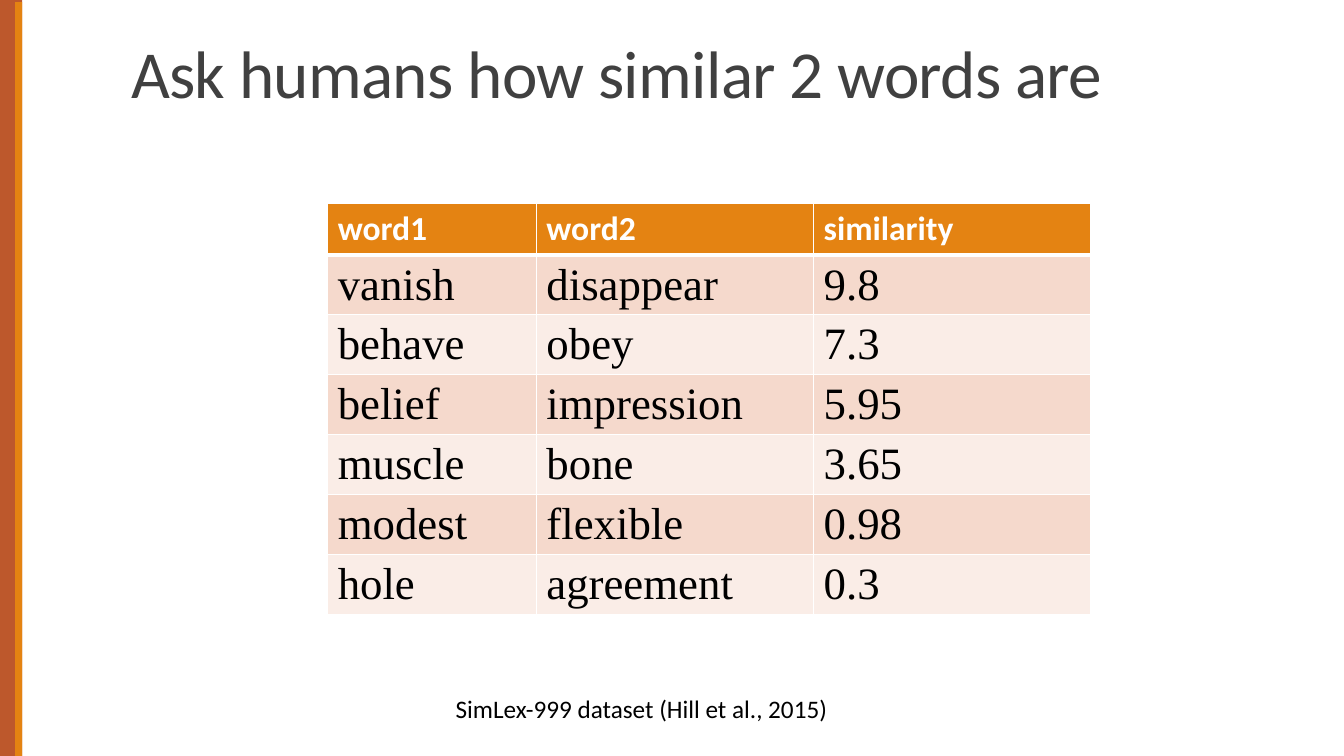
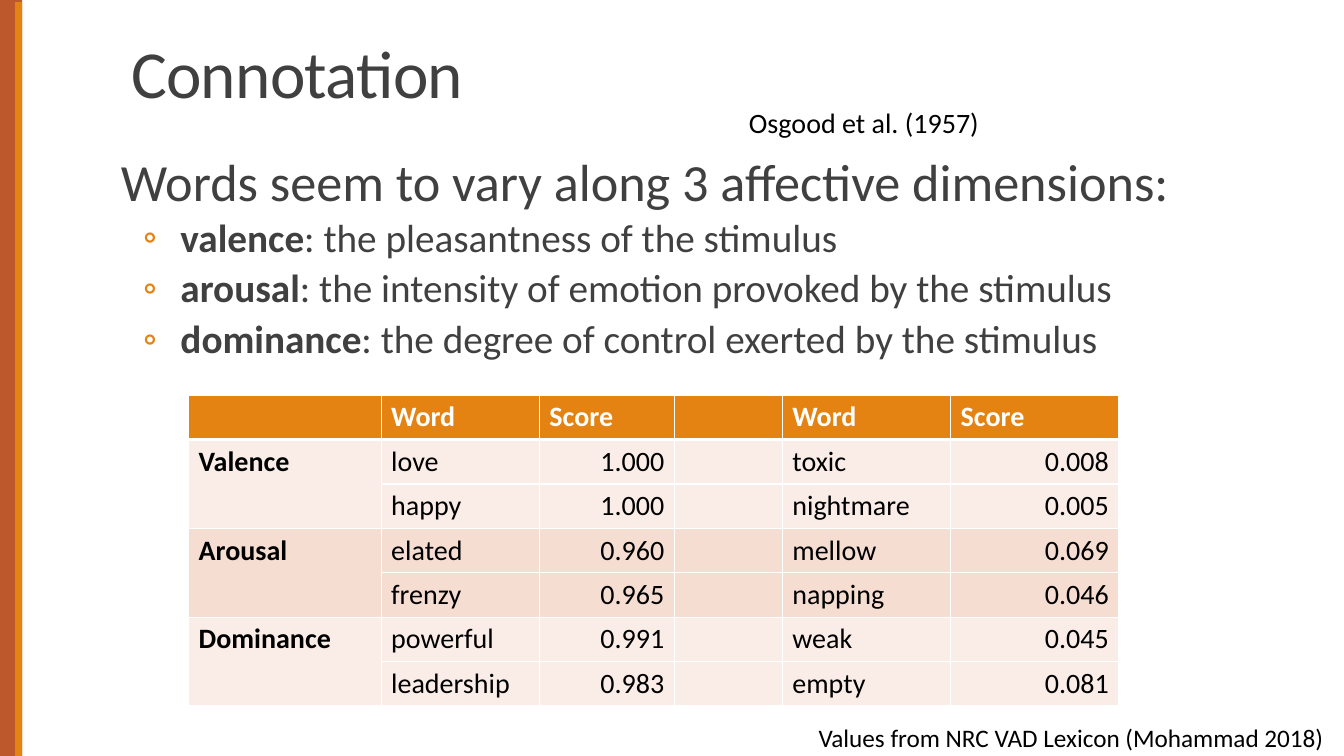
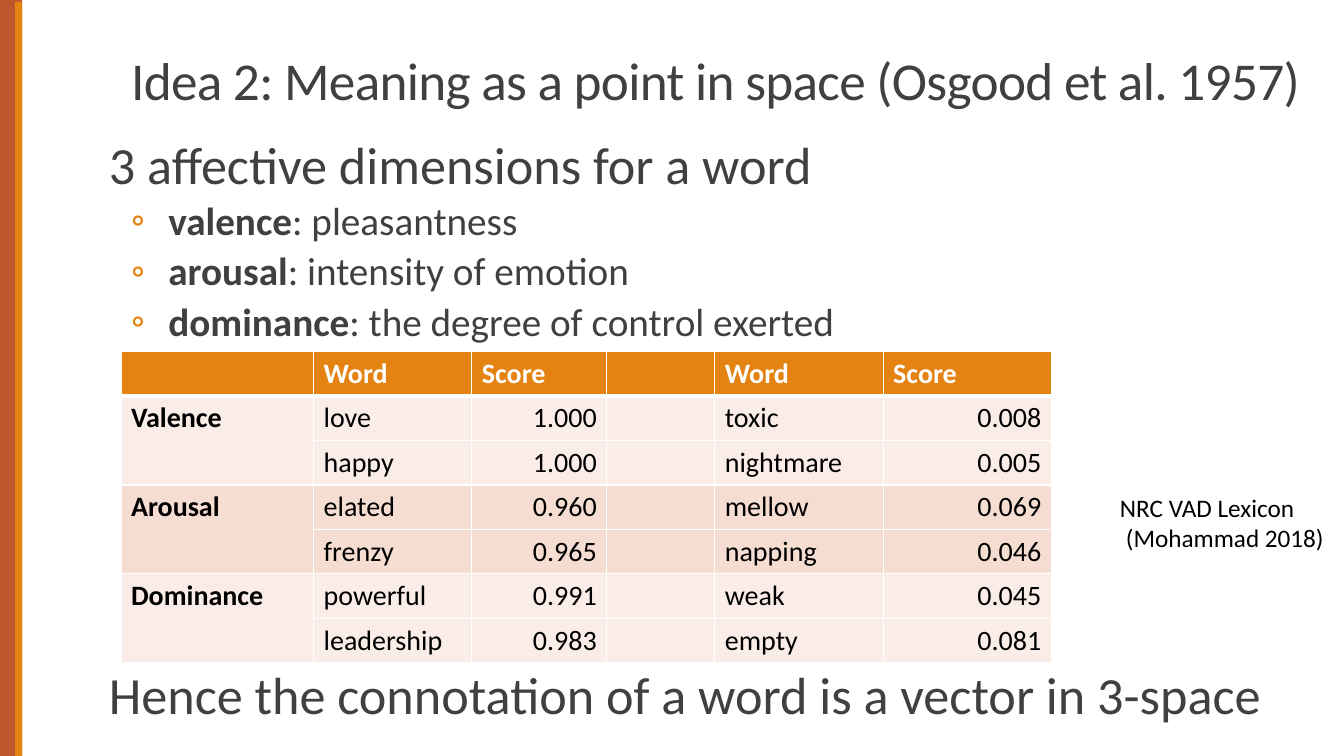
from pptx import Presentation
from pptx import util as u
from pptx.dml.color import RGBColor
from pptx.enum import shapes, text
from pptx.oxml import parse_xml
from pptx.oxml.ns import nsdecls, qn

Inches = u.Inches


class Theme:
    font, serif = "Calibri", "Times New Roman"
    rust, orange = "BD582C", "E48312"
    ink, black, white = "404040", "000000", "FFFFFF"
    pale, pink, rose = "FAEDE7", "F5D9CC", "F5DDD2"
    title, long_title, lead, item = 48, 38, 37.3, 28
    words, heading, scores, note = 32, 24, 20, 18


def write(paragraph, content, size=None, color=None, font=None, bold=None, align=None):
    """Append a run; any format left out is inherited from the master."""
    run = paragraph.add_run()
    run.text = content
    if size:
        run.font.size = u.Pt(size)
    if color:
        run.font.color.rgb = RGBColor.from_string(color)
    if font:
        run.font.name = font
    if bold is not None:
        run.font.bold = bold
    if align is not None:
        paragraph.alignment = align


def add_grid(slide, left, top, widths, heights, rows, fills, header, body,
             anchor=text.MSO_ANCHOR.TOP, bold_columns=(), right_columns=()):
    """Add a table whose first row is a header; fills gives one colour per body row."""
    grid = slide.shapes.add_table(len(rows), len(widths), Inches(left), Inches(top),
                                  Inches(sum(widths)), Inches(sum(heights))).table
    for column, width in zip(grid.columns, widths):
        column.width = Inches(width)
    for r, (values, height) in enumerate(zip(rows, heights)):
        grid.rows[r].height = Inches(height)
        for c, value in enumerate(values):
            cell = grid.cell(r, c)
            cell.vertical_anchor = anchor
            cell.fill.solid()
            cell.fill.fore_color.rgb = RGBColor.from_string(fills[r - 1] if r else Theme.orange)
            paragraph = cell.text_frame.paragraphs[0]
            if value and r == 0:
                write(paragraph, value, color=Theme.white, bold=True, **header)
            elif value:
                write(paragraph, value, color=Theme.black, bold=c in bold_columns,
                      align=text.PP_ALIGN.RIGHT if c in right_columns else None, **body)
            for position, side in enumerate("LRTB"):
                thick = (r == 0 and side == "B") or (r == 1 and side == "T")
                cell._tc.get_or_add_tcPr().insert(position, parse_xml(
                    f'<a:ln{side} {nsdecls("a")} w="{u.Pt(3 if thick else 1)}"><a:solidFill>'
                    f'<a:srgbClr val="{Theme.white}"/></a:solidFill></a:ln{side}>'))
    return grid


deck = Presentation()
deck.slide_width, deck.slide_height = Inches(13.33), Inches(7.5)
TITLE_ONLY, TITLE_AND_BODY = deck.slide_layouts[5], deck.slide_layouts[1]
similarity = deck.slides.add_slide(TITLE_ONLY)
connotation = deck.slides.add_slide(TITLE_AND_BODY)
space = deck.slides.add_slide(TITLE_AND_BODY)

# Master: side bands, title and list styles
master = deck.slide_master
for position, (left, top, width, color) in enumerate(
        [(0, 0, 0.22, Theme.rust), (0.15, 0.02, 0.07, Theme.orange)]):
    band = similarity.shapes.add_shape(shapes.MSO_SHAPE.RECTANGLE, Inches(left), Inches(top),
                                       Inches(width), Inches(7.5 - top))
    band.shadow.inherit = False
    band.fill.solid()
    band.fill.fore_color.rgb = RGBColor.from_string(color)
    band.line.fill.background()
    master.shapes._spTree.insert(2 + position, band._element)

master_title = master.placeholders[0]
master_title.left, master_title.top = Inches(1.2), Inches(0.17)
master_title.width, master_title.height = Inches(11), Inches(0.99)
master_title.text_frame.vertical_anchor = text.MSO_ANCHOR.BOTTOM
master_title.text_frame.auto_size = text.MSO_AUTO_SIZE.NONE

bullet = f'<a:buClr><a:srgbClr val="{Theme.orange}"/></a:buClr><a:buFont typeface="Calibri"/><a:buChar char="◦"/>'
text_styles = master._element.find(qn("p:txStyles"))
for style, level, margin, indent, line, before, after, mark, size, spacing in [
        ("titleStyle", 1, 0, 0, 85, 0, 0, "<a:buNone/>", Theme.title, -50),
        ("bodyStyle", 1, 0.01, -0.01, 90, 12, 2, "<a:buNone/>", Theme.lead, 0),
        ("bodyStyle", 2, 0.59, -0.37, 90, 2, 4, bullet, Theme.item, 0)]:
    old = text_styles.find(qn(f"p:{style}")).find(qn(f"a:lvl{level}pPr"))
    old.getparent().replace(old, parse_xml(
        f'<a:lvl{level}pPr {nsdecls("a")} marL="{Inches(margin)}" indent="{Inches(indent)}" algn="l">'
        f'<a:lnSpc><a:spcPct val="{line * 1000}"/></a:lnSpc>'
        f'<a:spcBef><a:spcPts val="{before * 100}"/></a:spcBef>'
        f'<a:spcAft><a:spcPts val="{after * 100}"/></a:spcAft>{mark}'
        f'<a:defRPr sz="{round(size * 100)}" spc="{spacing}"><a:solidFill>'
        f'<a:srgbClr val="{Theme.ink}"/></a:solidFill><a:latin typeface="{Theme.font}"/>'
        f'</a:defRPr></a:lvl{level}pPr>'))

# Titles
similarity.shapes.title.text = "Ask humans how similar 2 words are"
connotation.shapes.title.text = "Connotation"
long_title = space.shapes.title
long_title.left, long_title.top = Inches(1.2), Inches(0.17)
long_title.width, long_title.height = Inches(11.88), Inches(0.99)
write(long_title.text_frame.paragraphs[0],
      "Idea 2: Meaning as a point in space (Osgood et al. 1957)", size=Theme.long_title)

# Word similarity ratings
word_pairs = [
    ("word1", "word2", "similarity"),
    ("vanish", "disappear", "9.8"),
    ("behave", "obey", "7.3"),
    ("belief", "impression", "5.95"),
    ("muscle", "bone", "3.65"),
    ("modest", "flexible", "0.98"),
    ("hole", "agreement", "0.3"),
]
add_grid(similarity, 3.25, 2.02, [2.07, 2.75, 2.75], [0.51] + [0.59] * 6, word_pairs,
         [Theme.pink, Theme.pale] * 3, dict(size=Theme.heading, font=Theme.font),
         dict(size=Theme.words, font=Theme.serif), anchor=text.MSO_ANCHOR.MIDDLE)

# Affective dimensions: list and score table
affect_scores = [
    ("", "Word", "Score", "", "Word", "Score"),
    ("Valence", "love", "1.000", "", "toxic", "0.008"),
    ("", "happy", "1.000", "", "nightmare", "0.005"),
    ("Arousal", "elated", "0.960", "", "mellow", "0.069"),
    ("", "frenzy", "0.965", "", "napping", "0.046"),
    ("Dominance", "powerful", "0.991", "", "weak", "0.045"),
    ("", "leadership", "0.983", "", "empty", "0.081"),
]
score_text = dict(size=Theme.scores, font=Theme.font)
for slide, (left, top, width, height), (grid_left, grid_top), lead, definitions in [
        (connotation, (1.2, 1.5, 12.13, 5), (1.87, 3.92),
         "Words seem to vary along 3 affective dimensions:",
         ["the pleasantness of the stimulus",
          "the intensity of emotion provoked by the stimulus",
          "the degree of control exerted by the stimulus"]),
        (space, (1.08, 1.33, 12.25, 6), (1.2, 3.49),
         "3 affective dimensions for a word",
         ["pleasantness", "intensity of emotion", "the degree of control exerted"])]:
    dimensions = slide.placeholders[1]
    dimensions.left, dimensions.top = Inches(left), Inches(top)
    dimensions.width, dimensions.height = Inches(width), Inches(height)
    frame = dimensions.text_frame
    frame.margin_left = frame.margin_right = 0
    frame.auto_size = text.MSO_AUTO_SIZE.NONE
    write(frame.paragraphs[0], lead)
    frame.paragraphs[0].space_before = u.Pt(0)
    for term, definition in zip(["valence", "arousal", "dominance"], definitions):
        item = frame.add_paragraph()
        item.level = 1
        write(item, term, bold=True)
        write(item, f": {definition}")
    grid = add_grid(slide, grid_left, grid_top, [1.91, 1.57, 1.34, 1.07, 1.67, 1.67],
                    [0.43] * 7, affect_scores,
                    [Theme.pale] * 2 + [Theme.rose] * 2 + [Theme.pale] * 2,
                    score_text, score_text, bold_columns=(0,), right_columns=(2, 5))
    for first in (1, 3, 5):
        grid.cell(first, 0).merge(grid.cell(first + 1, 0))

conclusion = space.placeholders[1].text_frame.add_paragraph()
conclusion.space_before = u.Pt(228)
write(conclusion, "Hence the connotation of a word is a vector in 3-space")

# Sources
for slide, left, top, width, height, size, lines in [
        (similarity, 4.42, 6.83, 3.99, 0.4, Theme.note, ["SimLex-999 dataset (Hill et al., 2015)"]),
        (connotation, 7.33, 1, 2.5, 0.44, Theme.scores, ["Osgood et al. (1957)"]),
        (connotation, 8.02, 7.12, 5.31, 0.38, Theme.note,
         ["Values from NRC VAD Lexicon (Mohammad 2018)"]),
        (space, 11.01, 4.83, 2.24, 0.71, Theme.note, ["NRC VAD Lexicon", "(Mohammad 2018)"])]:
    frame = slide.shapes.add_textbox(Inches(left), Inches(top), Inches(width), Inches(height)).text_frame
    frame.word_wrap = False
    for n, line in enumerate(lines):
        paragraph = frame.add_paragraph() if n else frame.paragraphs[0]
        if n:
            paragraph._p.get_or_add_pPr().set("marL", str(Inches(0.06)))
        write(paragraph, line, size=size, color=Theme.black, font=Theme.font)

deck.save("out.pptx")
